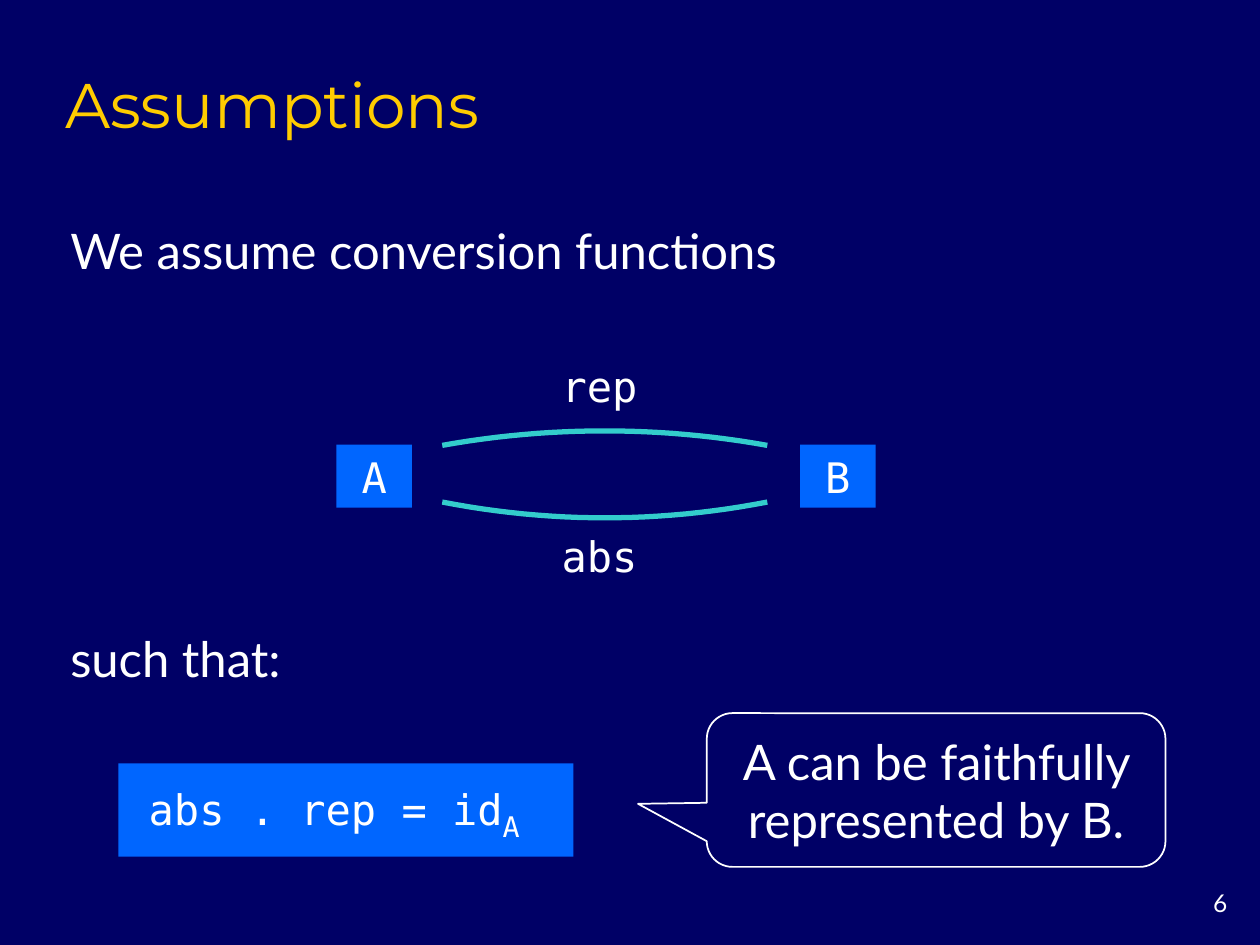
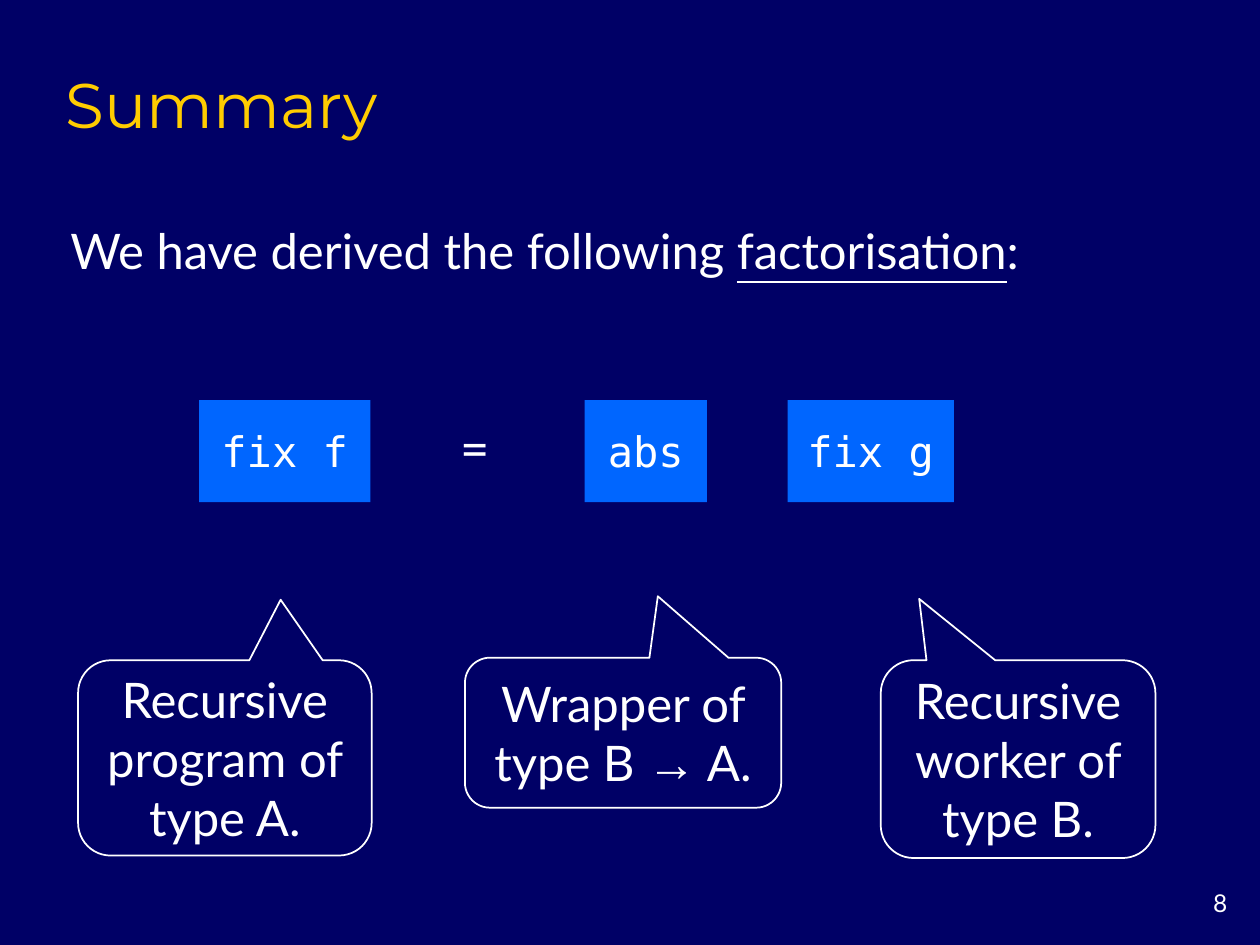
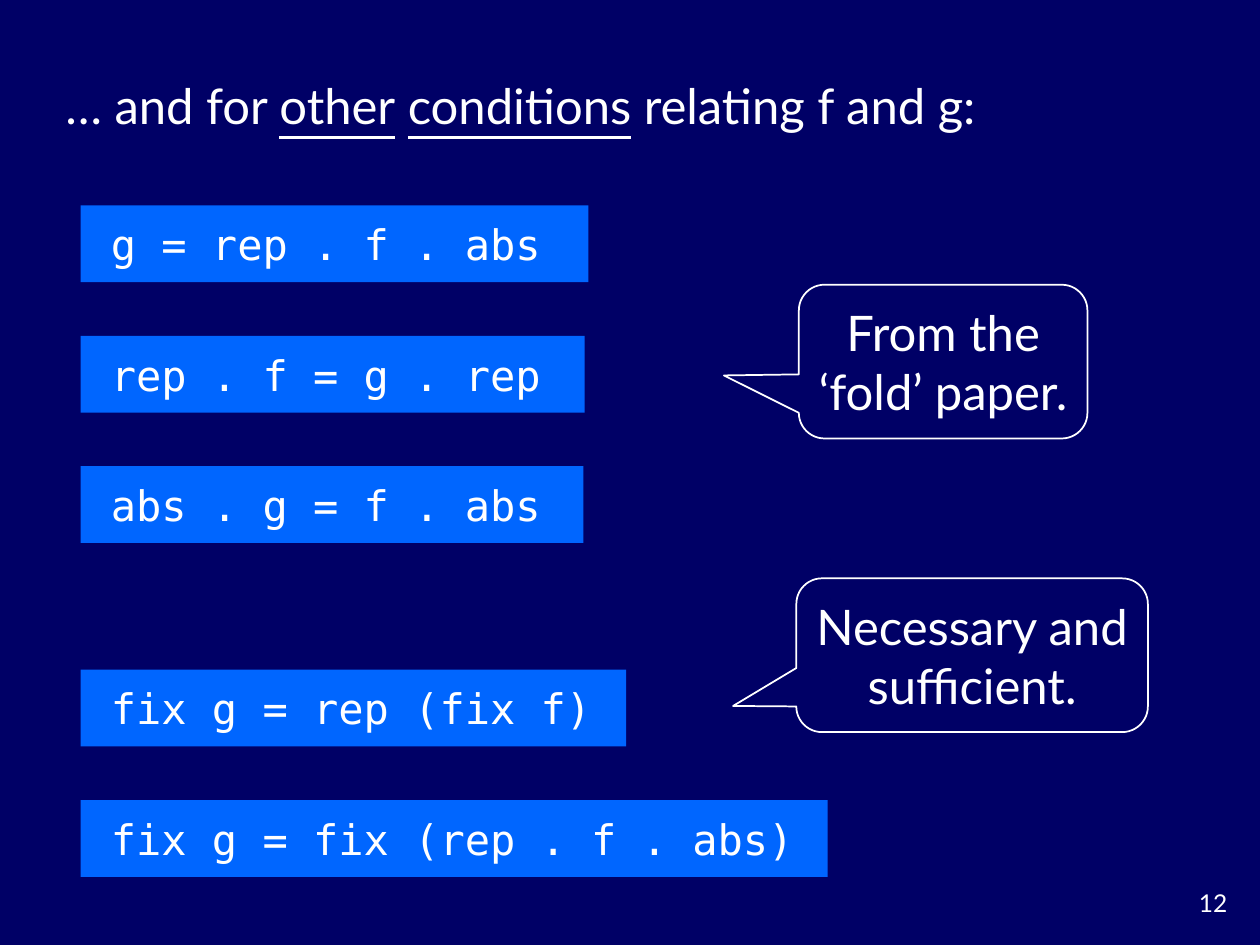
from pptx import Presentation
from pptx.dml.color import RGBColor
from pptx.enum.shapes import MSO_SHAPE
from pptx.enum.text import MSO_ANCHOR, PP_ALIGN
from pptx.util import Inches, Pt

SLIDE_WIDTH, SLIDE_HEIGHT = Inches(10), Inches(7.5)
COLUMNS, ROWS = 100, 75
COLORS = {
    "background": "000066",
    "title": "FFCC00",
    "text": "FFFFFF",
    "block": "0066FF",
    "arc": "33CCCC",
}
PROSE, CODE, HEADING, SYMBOL = "Lato", "DejaVu Sans Mono", "Montserrat", "Arial"
MARGIN_COLUMN = 4.6
EQUATION_COLUMN = 6.4
ARC_STEPS = 24


def color(name):
    return RGBColor.from_string(COLORS[name])


def across(columns):
    return round(SLIDE_WIDTH * columns / COLUMNS)


def down(rows):
    return round(SLIDE_HEIGHT * rows / ROWS)


def place(area):
    left, top, width, height = area
    return across(left), down(top), across(width), down(height)


def write(box, spans, font=PROSE, size=28, ink="text", align=PP_ALIGN.LEFT,
          anchor=MSO_ANCHOR.MIDDLE, insets=(1, 0.5), wrap=True):
    frame = box.text_frame
    frame.word_wrap = wrap
    frame.vertical_anchor = anchor
    frame.margin_left = frame.margin_right = across(insets[0])
    frame.margin_top = frame.margin_bottom = down(insets[1])
    para = frame.paragraphs[0]
    para.alignment = align
    for text, changes in [(spans, {})] if isinstance(spans, str) else spans:
        span = para.add_run()
        span.text = text
        span.font.name = changes.get("font", font)
        span.font.size = Pt(changes.get("size", size))
        span.font.color.rgb = color(ink)
        if changes.get("underline"):
            span.font.underline = True
        if "baseline" in changes:
            span.font._element.set("baseline", str(changes["baseline"]))


def add_text(page, area, spans, **style):
    write(page.shapes.add_textbox(*place(area)), spans, **style)


def add_label(page, area, text, **style):
    add_text(page, area, text, font=CODE, size=24, **style)


def add_statement(page, top, spans, width=90):
    add_text(page, (MARGIN_COLUMN, top, width, 5.7), spans)


def add_block(page, area, spans, **style):
    block = page.shapes.add_shape(MSO_SHAPE.RECTANGLE, *place(area))
    block.shadow.inherit = False
    block.fill.solid()
    block.fill.fore_color.rgb = color("block")
    block.line.fill.background()
    write(block, spans, font=CODE, size=24, **style)


def add_equation(page, area, spans):
    add_block(page, area, spans, insets=(2.4, 1))


def add_callout(page, area, tip, spans):
    callout = page.shapes.add_shape(MSO_SHAPE.ROUNDED_RECTANGULAR_CALLOUT, *place(area))
    callout.shadow.inherit = False
    callout.fill.background()
    callout.line.color.rgb = color("text")
    callout.line.width = Pt(1)
    callout.adjustments[0], callout.adjustments[1] = tip
    write(callout, spans, align=PP_ALIGN.CENTER)


def add_arc(page, left, width, end_row, middle_row):
    points = []
    for step in range(ARC_STEPS + 1):
        share = step / ARC_STEPS
        bend = 4 * share * (1 - share)
        row = end_row + (middle_row - end_row) * bend
        points.append((across(left + width * share), down(row)))
    builder = page.shapes.build_freeform(*points[0])
    builder.add_line_segments(points[1:], close=False)
    arc = builder.convert_to_shape()
    arc.shadow.inherit = False
    arc.fill.background()
    arc.line.color.rgb = color("arc")
    arc.line.width = Pt(3)


def add_page(deck, number, title=None):
    page = deck.slides.add_slide(deck.slide_layouts[6])
    add_text(page, (91.7, 70, 6.7, 3.3), number, size=14,
             align=PP_ALIGN.RIGHT, anchor=MSO_ANCHOR.TOP)
    if title:
        add_text(page, (4.2, 4.2, 91.9, 7.5), title, font=HEADING, size=36,
                 ink="title", anchor=MSO_ANCHOR.BOTTOM)
    return page


def build_assumptions(deck):
    page = add_page(deck, "6", "Assumptions")
    add_statement(page, 17, "We assume conversion functions")
    for left, name in ((26.7, "A"), (63.5, "B")):
        add_block(page, (left, 35.3, 6, 5), name, align=PP_ALIGN.CENTER)
    for top, name, end_row, middle_row in (
        (28.1, "rep", 35.35, 34.2),
        (41.6, "abs", 39.85, 41.1),
    ):
        add_label(page, (43.6, top, 8.6, 5), name)
        add_arc(page, 35.1, 25.8, end_row, middle_row)
    add_statement(page, 49.4, "such that:")
    add_equation(page, (9.4, 60.6, 36.1, 7.4), [
        ("abs . rep = id", {}),
        ("A", {"size": 28, "baseline": -25000}),
    ])
    add_callout(page, (56.1, 56.6, 36.4, 12.2), (-0.65, 0.09),
                "A can be faithfully represented by B.")


def build_summary(deck):
    page = add_page(deck, "8", "Summary")
    add_statement(page, 17, [
        ("We have derived the following ", {}),
        ("factorisation", {"underline": True}),
        (":", {}),
    ])
    for left, width, term in ((15.8, 13.6, "fix f"), (46.4, 9.7, "abs"), (62.5, 13.2, "fix g")):
        add_block(page, (left, 31.75, width, 8.1), term, align=PP_ALIGN.CENTER, insets=(1, 2))
    add_label(page, (35.7, 33, 3.9, 5), "=", align=PP_ALIGN.CENTER,
              anchor=MSO_ANCHOR.TOP, wrap=False)
    add_callout(page, (6.2, 52.4, 23.3, 15.5), (0.19, -0.81), "Recursive program of type A.")
    add_callout(page, (36.9, 52.2, 25.1, 11.9), (0.11, -0.91), [
        ("Wrapper of type B ", {}),
        ("→", {"font": SYMBOL}),
        (" A.", {}),
    ])
    add_callout(page, (69.9, 52.4, 21.8, 15.7), (-0.36, -0.81), "Recursive worker of type B.")


def build_conditions(deck):
    page = add_page(deck, "12")
    add_text(page, (4.2, 5.5, 90.2, 5.7), [
        ("… and for ", {}),
        ("other", {"underline": True}),
        (" ", {}),
        ("conditions", {"underline": True}),
        (" relating f and g:", {}),
    ])
    groups = (
        (16.3, (("g = rep . f . abs", 40.3),
                ("rep . f = g . rep", 40),
                ("abs . g = f . abs", 39.9))),
        (53.15, (("fix g = rep (fix f)", 43.3),
                 ("fix g = fix (rep . f . abs)", 59.3))),
    )
    for first_row, equations in groups:
        for index, (equation, width) in enumerate(equations):
            top = first_row + 10.35 * index
            add_equation(page, (EQUATION_COLUMN, top, width, 6.1), equation)
    add_callout(page, (63.4, 22.6, 22.9, 12.2), (-0.76, 0.09), "From the ‘fold’ paper.")
    add_callout(page, (63.2, 45.9, 27.9, 12.2), (-0.68, 0.33), "Necessary and sufficient.")


def main():
    deck = Presentation()
    deck.slide_width, deck.slide_height = SLIDE_WIDTH, SLIDE_HEIGHT
    backdrop = deck.slide_master.background.fill
    backdrop.solid()
    backdrop.fore_color.rgb = color("background")
    build_assumptions(deck)
    build_summary(deck)
    build_conditions(deck)
    deck.save("out.pptx")


if __name__ == "__main__":
    main()
